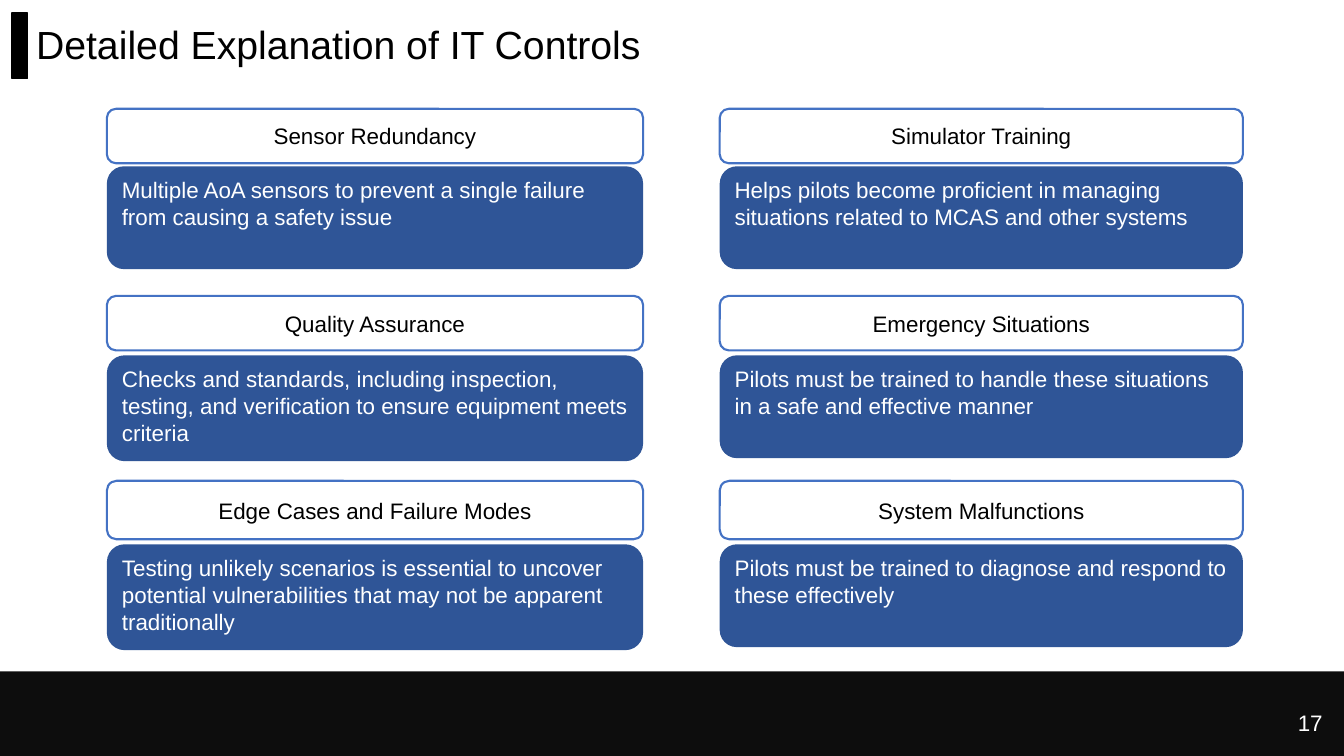
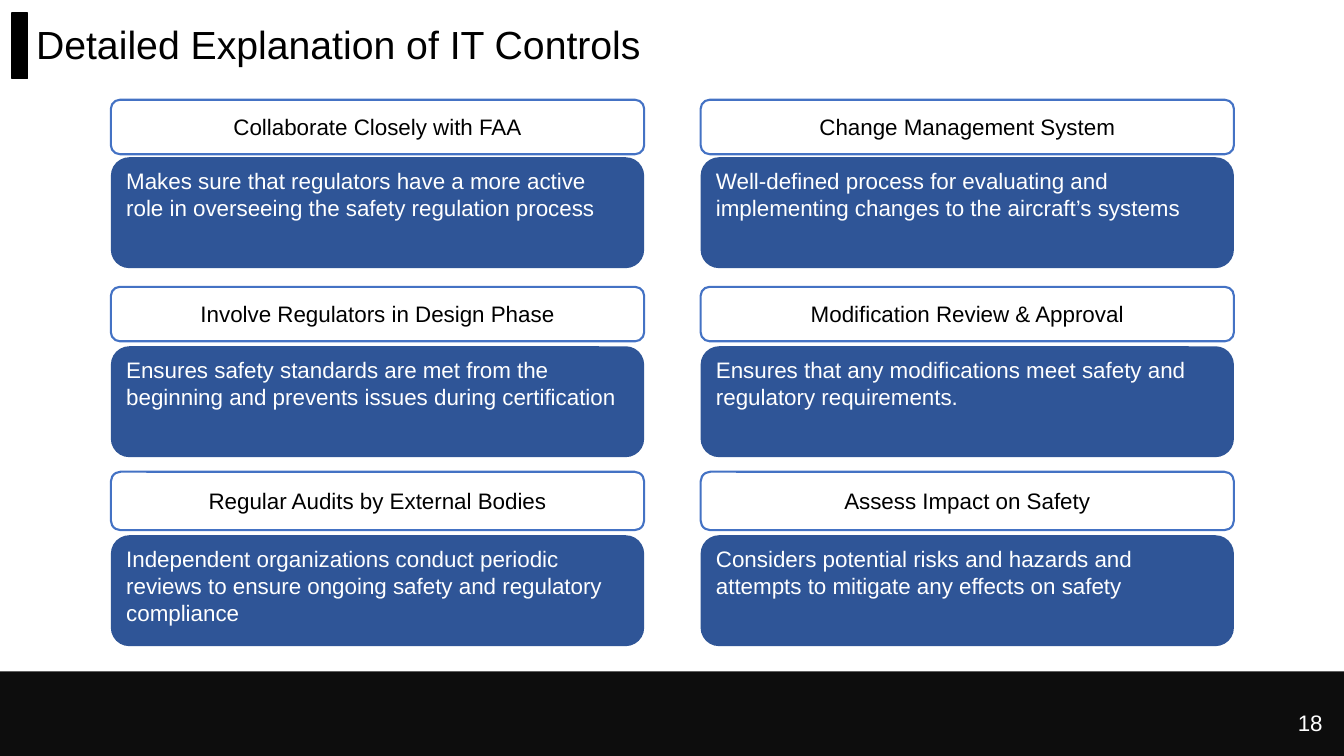
from dataclasses import dataclass

from pptx import Presentation
from pptx.dml.color import RGBColor
from pptx.enum.shapes import MSO_SHAPE
from pptx.enum.text import MSO_ANCHOR, PP_ALIGN
from pptx.util import Inches, Pt

BLACK = RGBColor(0x00, 0x00, 0x00)
WHITE = RGBColor(0xFF, 0xFF, 0xFF)
FOOTER_BLACK = RGBColor(0x0D, 0x0D, 0x0D)
OUTLINE_BLUE = RGBColor(0x44, 0x72, 0xC4)
PANEL_BLUE = RGBColor(0x2F, 0x55, 0x97)

FONT = "Arial"
TITLE_SIZE = 28
BODY_SIZE = 16

# All positions and sizes are percentages of the slide's width and height.
# Row offsets are measured from the top of the first heading.
HEADING_ROWS = [(0, 7.2), (24.75, 7.2), (49.2, 7.73)]
FIRST_PANEL = 7.6
PANEL_PITCH = 25


@dataclass
class Column:
    left: float
    width: float
    panel_heights: tuple
    cards: list


class Deck:
    """Holds the shared style and the slide being drawn."""

    def __init__(self):
        self.presentation = Presentation()
        self.presentation.slide_width = Inches(13.33)
        self.presentation.slide_height = Inches(7.5)
        self.slide = None

    def area(self, left, top, width, height):
        """Turn percentages of the slide into lengths."""
        across = self.presentation.slide_width / 100
        down = self.presentation.slide_height / 100
        return (round(left * across), round(top * down),
                round(width * across), round(height * down))

    def new_slide(self, title, number):
        blank = self.presentation.slide_layouts[6]
        self.slide = self.presentation.slides.add_slide(blank)
        self.block(MSO_SHAPE.RECTANGLE, (0.9, 1.73, 1.13, 8.67),
                   fill=BLACK, outline=BLACK, weight=1)
        self.block(MSO_SHAPE.RECTANGLE, (0, 88.8, 100, 11.2), fill=FOOTER_BLACK)
        self.label(title, (1.95, 0.53, 89.1, 11.2), BLACK, TITLE_SIZE, spacing=0.9)
        self.label(str(number), (76.65, 92.93, 22.5, 5.33), WHITE,
                   align=PP_ALIGN.RIGHT)

    def block(self, kind, place, fill=None, outline=None, weight=1.5):
        shape = self.slide.shapes.add_shape(kind, *self.area(*place))
        shape.shadow.inherit = False
        if fill is None:
            shape.fill.background()
        else:
            shape.fill.solid()
            shape.fill.fore_color.rgb = fill
        if outline is None:
            shape.line.fill.background()
        else:
            shape.line.color.rgb = outline
            shape.line.width = Pt(weight)
        return shape

    def add_words(self, shape, words, color, size=BODY_SIZE, align=PP_ALIGN.LEFT,
                  anchor=MSO_ANCHOR.MIDDLE, spacing=None):
        frame = shape.text_frame
        frame.word_wrap = True
        frame.vertical_anchor = anchor
        paragraph = frame.paragraphs[0]
        paragraph.alignment = align
        paragraph.line_spacing = spacing
        run = paragraph.add_run()
        run.text = words
        run.font.name = FONT
        run.font.size = Pt(size)
        run.font.color.rgb = color

    def label(self, words, place, color, size=BODY_SIZE, **style):
        box = self.slide.shapes.add_textbox(*self.area(*place))
        self.add_words(box, words, color, size, **style)

    def heading(self, words, place):
        frame = self.block(MSO_SHAPE.ROUNDED_RECTANGLE, place, outline=OUTLINE_BLUE)
        self.add_words(frame, words, BLACK, align=PP_ALIGN.CENTER)

    def panel(self, words, place):
        panel = self.block(MSO_SHAPE.ROUNDED_RECTANGLE, place, fill=PANEL_BLUE)
        self.add_words(panel, words, WHITE, anchor=MSO_ANCHOR.TOP)

    def card_column(self, column, top):
        """Stack headings, each with its explanation panel below."""
        rows = zip(column.cards, HEADING_ROWS, column.panel_heights)
        for row, ((heading, explanation), (offset, height), panel_height) in enumerate(rows):
            self.heading(heading, (column.left, top + offset, column.width, height))
            panel_top = top + FIRST_PANEL + row * PANEL_PITCH
            self.panel(explanation, (column.left, panel_top, column.width, panel_height))


TITLE = "Detailed Explanation of IT Controls"
EVEN_PANELS = (14.67,) * 3

# Page number, top of the first heading, columns.
PAGES = [
    (17, 14.4, [
        Column(7.95, 39.9, (13.6, 14, 14), [
            ("Sensor Redundancy",
             "Multiple AoA sensors to prevent a single failure from causing a safety issue"),
            ("Quality Assurance",
             "Checks and standards, including inspection, testing, and verification "
             "to ensure equipment meets criteria"),
            ("Edge Cases and Failure Modes",
             "Testing unlikely scenarios is essential to uncover potential "
             "vulnerabilities that may not be apparent traditionally"),
        ]),
        Column(53.55, 38.93, (13.6,) * 3, [
            ("Simulator Training",
             "Helps pilots become proficient in managing situations related to "
             "MCAS and other systems"),
            ("Emergency Situations",
             "Pilots must be trained to handle these situations in a safe and "
             "effective manner"),
            ("System Malfunctions",
             "Pilots must be trained to diagnose and respond to these effectively"),
        ]),
    ]),
    (18, 13.2, [
        Column(8.25, 39.68, EVEN_PANELS, [
            ("Collaborate Closely with FAA",
             "Makes sure that regulators have a more active role in overseeing "
             "the safety regulation process"),
            ("Involve Regulators in Design Phase",
             "Ensures safety standards are met from the beginning and prevents "
             "issues during certification"),
            ("Regular Audits by External Bodies",
             "Independent organizations conduct periodic reviews to ensure "
             "ongoing safety and regulatory compliance"),
        ]),
        Column(52.13, 39.68, EVEN_PANELS, [
            ("Change Management System",
             "Well-defined process for evaluating and implementing changes to "
             "the aircraft’s systems"),
            ("Modification Review & Approval",
             "Ensures that any modifications meet safety and regulatory requirements."),
            ("Assess Impact on Safety",
             "Considers potential risks and hazards and attempts to mitigate any "
             "effects on safety"),
        ]),
    ]),
]


def main():
    deck = Deck()
    for number, top, columns in PAGES:
        deck.new_slide(TITLE, number)
        for column in columns:
            deck.card_column(column, top)
    deck.presentation.save("out.pptx")


if __name__ == "__main__":
    main()
